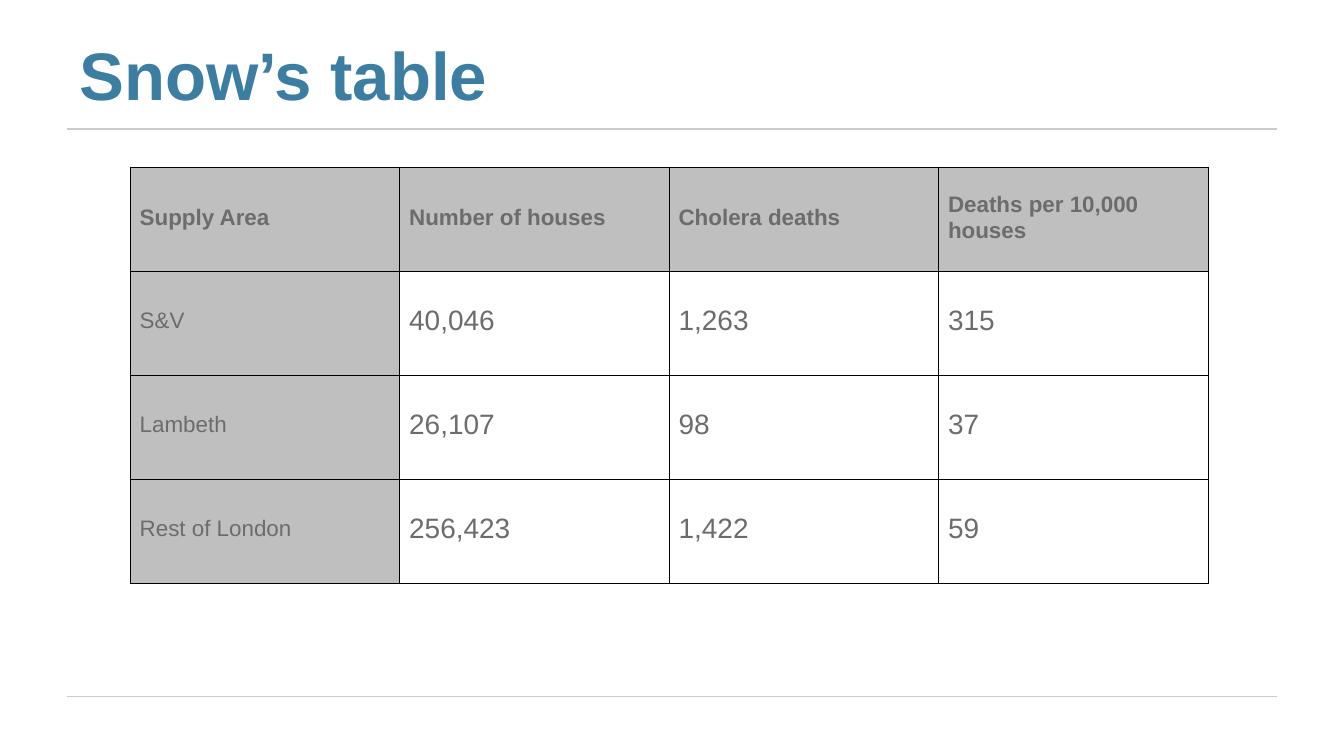
from lxml import etree
from pptx import Presentation
from pptx.dml.color import RGBColor
from pptx.enum.shapes import MSO_CONNECTOR
from pptx.enum.text import MSO_ANCHOR, PP_ALIGN
from pptx.oxml.ns import qn
from pptx.util import Pt

PX = 4572
FONT = "Arial"
BLUE = RGBColor(0x3B, 0x7E, 0xA1)
TEXT_GRAY = RGBColor(0x6C, 0x6C, 0x6C)
CELL_GRAY = RGBColor(0xBF, 0xBF, 0xBF)
RULE_GRAY = RGBColor(0xCC, 0xCC, 0xCC)
BLACK = RGBColor(0, 0, 0)
STRAIGHT = MSO_CONNECTOR.STRAIGHT
TOP = MSO_ANCHOR.TOP
MIDDLE = MSO_ANCHOR.MIDDLE
LEFT = PP_ALIGN.LEFT
TITLE_ONLY = 5

COLUMN_WIDTH = 401
ROW_HEIGHT = 155
ROWS = [
    ["Supply Area", "Number of houses", "Cholera deaths", "Deaths per 10,000 houses"],
    ["S&V", "40,046", "1,263", "315"],
    ["Lambeth", "26,107", "98", "37"],
    ["Rest of London", "256,423", "1,422", "59"],
]


def px(*lengths):
    return [length * PX for length in lengths]


def format_text(paragraph, size, color, bold):
    paragraph.alignment = LEFT
    for run in paragraph.runs:
        run.font.name = FONT
        run.font.size = Pt(size)
        run.font.bold = bold
        run.font.color.rgb = color


def set_margins(target, left, top, right, bottom):
    target.margin_left, target.margin_top, target.margin_right, target.margin_bottom = px(
        left, top, right, bottom
    )


def set_title(slide, text):
    title = slide.shapes.title
    title.left, title.top, title.width, title.height = px(116, 46, 612, 126)
    frame = title.text_frame
    frame.text = text
    frame.word_wrap = True
    frame.vertical_anchor = TOP
    set_margins(frame, 2, 4, 0, 0)
    format_text(frame.paragraphs[0], 36, BLUE, True)


def add_rule(slide, y):
    rule = slide.shapes.add_connector(STRAIGHT, *px(100, y, 1900, y))
    rule.line.color.rgb = RULE_GRAY
    rule.line.width = Pt(0.75)
    etree.SubElement(rule._element.spPr, qn("a:effectLst"))


def set_borders(cell):
    properties = cell._tc.get_or_add_tcPr()
    for side in ("lnL", "lnR", "lnT", "lnB"):
        border = etree.SubElement(properties, qn(f"a:{side}"), w=str(Pt(0.75)))
        fill = etree.SubElement(border, qn("a:solidFill"))
        etree.SubElement(fill, qn("a:srgbClr"), val=str(BLACK))


def format_cell(cell, text, is_header, is_label):
    set_borders(cell)
    if is_header or is_label:
        cell.fill.solid()
        cell.fill.fore_color.rgb = CELL_GRAY
    else:
        cell.fill.background()
    cell.text = text
    cell.vertical_anchor = MIDDLE
    set_margins(cell, 14, 0, 0, 8)
    paragraph = cell.text_frame.paragraphs[0]
    if is_header:
        paragraph.line_spacing = Pt(14.3)
    format_text(paragraph, 12 if is_header or is_label else 15, TEXT_GRAY, is_header)


def add_deaths_table(slide):
    row_count, column_count = len(ROWS), len(ROWS[0])
    frame = slide.shapes.add_table(
        row_count, column_count,
        *px(194, 249, COLUMN_WIDTH * column_count, ROW_HEIGHT * row_count),
    )
    table = frame.table
    table.first_row = False
    table.horz_banding = False
    for row_index, row in enumerate(ROWS):
        for column_index, text in enumerate(row):
            cell = table.cell(row_index, column_index)
            format_cell(cell, text, row_index == 0, column_index == 0)


def main():
    presentation = Presentation()
    presentation.slide_width, presentation.slide_height = px(2000, 1125)
    slide = presentation.slides.add_slide(presentation.slide_layouts[TITLE_ONLY])
    for y in (192, 1037):
        add_rule(slide, y)
    add_deaths_table(slide)
    set_title(slide, "Snow’s table")
    presentation.save("out.pptx")


if __name__ == "__main__":
    main()
